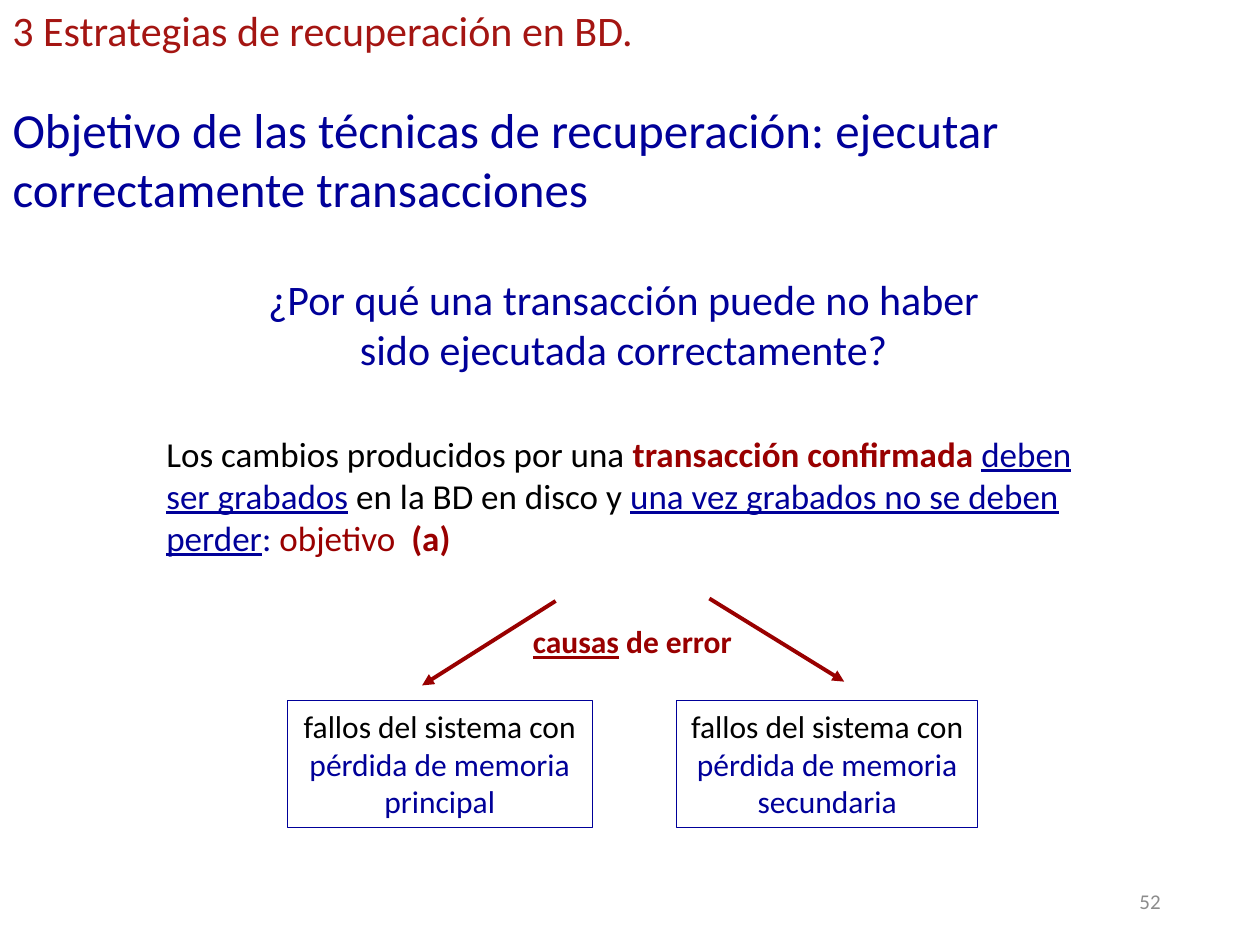
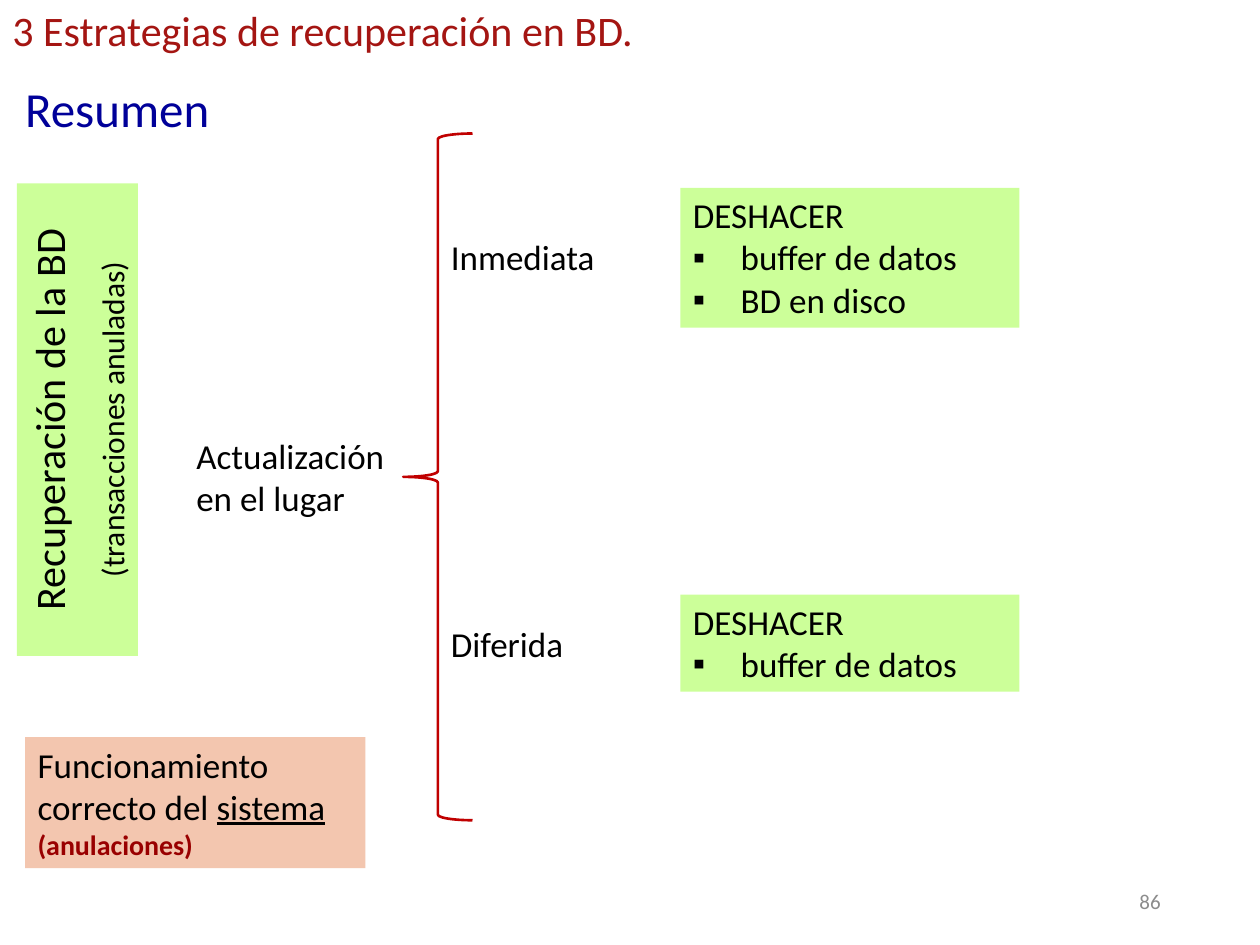
from lxml.etree import SubElement
from pptx import Presentation
from pptx.dml.color import RGBColor
from pptx.enum.shapes import MSO_CONNECTOR, MSO_SHAPE
from pptx.enum.text import MSO_ANCHOR, PP_ALIGN
from pptx.oxml.ns import qn
from pptx.util import Inches, Pt

BLACK = RGBColor(0x00, 0x00, 0x00)
BLUE = RGBColor(0x00, 0x00, 0x99)
RED = RGBColor(0x99, 0x00, 0x00)
SECTION_RED = RGBColor(0xA4, 0x15, 0x12)
BRACE_RED = RGBColor(0xC0, 0x00, 0x00)
GRAY = RGBColor(0x8C, 0x8C, 0x8C)
GREEN = RGBColor(0xCC, 0xFF, 0x99)
PEACH = RGBColor(0xF3, 0xC6, 0xAF)

FONT = "Calibri"
SECTION = "3 Estrategias de recuperación en BD."
LEFT, CENTER, RIGHT = PP_ALIGN.LEFT, PP_ALIGN.CENTER, PP_ALIGN.RIGHT


class SlideBuilder:
    """Holds the shared style and the current slide."""

    def __init__(self, deck):
        self.deck = deck
        self.slide = None

    def new_slide(self, heading, heading_place, number):
        self.slide = self.deck.slides.add_slide(self.deck.slide_layouts[5])
        title = self.slide.shapes.title
        title.left, title.top, title.width, title.height = map(Inches, heading_place)
        self.fill_text(title, [heading], size=28, color=BLUE)
        self.text((0, -0.01, 5.17, 0.5), [SECTION], size=24, color=SECTION_RED, wrap=False)
        self.text((7.06, 6.95, 2.25, 0.4), [number], size=12, color=GRAY,
                  align=RIGHT, anchor=MSO_ANCHOR.MIDDLE)

    def fill_text(self, shape, paras, size=20, color=BLACK, align=LEFT, side=0.1,
                  anchor=MSO_ANCHOR.TOP, wrap=True, gap=0, bullets=False):
        """Each para is a string or a list of (text, format) spans."""
        frame = shape.text_frame
        settings = {"word_wrap": wrap, "vertical_anchor": anchor,
                    "margin_left": Inches(side), "margin_right": Inches(side),
                    "margin_top": Inches(0.05), "margin_bottom": Inches(0.05)}
        for name, value in settings.items():
            setattr(frame, name, value)
        for index, spans in enumerate(paras):
            para = frame.add_paragraph() if index else frame.paragraphs[0]
            para.alignment = align
            para.space_before = Pt(gap if index else 0)
            if bullets and index:
                self.bullet(para)
            for text, changes in [(spans, {})] if isinstance(spans, str) else spans:
                look = {"size": size, "color": color, **changes}
                span = para.add_run()
                span.text = text
                span.font.color.rgb = look.pop("color")
                look.update(name=FONT, size=Pt(look["size"]))
                for name, value in look.items():
                    setattr(span.font, name, value)

    def bullet(self, para):
        props = para._p.get_or_add_pPr()
        props.set("marL", str(Inches(0.38)))
        props.set("indent", str(-Inches(0.38)))
        SubElement(props, qn("a:buFont"), typeface="Arial")
        SubElement(props, qn("a:buChar"), char="▪")

    def text(self, place, paras, **style):
        box = self.slide.shapes.add_textbox(*map(Inches, place))
        self.fill_text(box, paras, **style)

    def shape(self, kind, place, fill=None, line=None, weight=0.75):
        shape = self.slide.shapes.add_shape(kind, *map(Inches, place))
        shape.shadow.inherit = False
        if fill is None:
            shape.fill.background()
        else:
            shape.fill.solid()
            shape.fill.fore_color.rgb = fill
        if line is None:
            shape.line.fill.background()
        else:
            shape.line.color.rgb = line
            shape.line.width = Pt(weight)
        return shape

    def panel(self, place, paras, fill=None, line=None, rotation=0, **style):
        panel = self.shape(MSO_SHAPE.RECTANGLE, place, fill, line)
        panel.rotation = rotation
        self.fill_text(panel, paras, **style)

    def brace(self, place, color):
        brace = self.shape(MSO_SHAPE.LEFT_BRACE, place, line=color, weight=1.5)
        brace.adjustments[0] = 0.08
        brace.adjustments[1] = 0.5

    def arrow(self, start, end, color):
        arrow = self.slide.shapes.add_connector(
            MSO_CONNECTOR.STRAIGHT, *map(Inches, start + end))
        arrow.line.color.rgb = color
        arrow.line.width = Pt(2.25)
        SubElement(arrow.line._get_or_add_ln(), qn("a:tailEnd"), type="triangle")
        SubElement(arrow._element.spPr, qn("a:effectLst"))


def build_goal(builder):
    builder.new_slide(
        "Objetivo de las técnicas de recuperación: ejecutar correctamente transacciones",
        (0, 0.74, 9.62, 1.04), "52")
    builder.text((1.8, 2.12, 6.3, 0.91),
                 ["¿Por qué una transacción puede no haber sido ejecutada correctamente?"],
                 size=24, color=BLUE, align=CENTER)
    underlined = {"color": BLUE, "underline": True}
    builder.text((1.32, 3.38, 7.25, 1.1), [[
        ("Los cambios producidos por una ", {}),
        ("transacción confirmada ", {"color": RED, "bold": True}),
        ("deben ser grabados", underlined),
        (" en la BD en disco y ", {}),
        ("una vez grabados no se deben perder", underlined),
        (": ", {"color": BLUE}),
        ("objetivo  ", {"color": RED}),
        ("(a)", {"color": RED, "bold": True}),
    ]], side=0)

    # Causes of error
    for left, width, memory in ((2.28, 2.42, "principal"), (5.37, 2.39, "secundaria")):
        builder.panel((left, 5.56, width, 1.01), [[
            ("fallos del sistema con ", {}),
            (f"pérdida de memoria {memory}", {"color": BLUE}),
        ]], line=BLUE, size=18, align=CENTER, side=0)
    builder.text((4.02, 4.89, 2, 0.4), [[
        ("causas", {"bold": True, "underline": True}),
        (" de error", {"bold": True}),
    ]], size=18, color=RED, align=CENTER, side=0)
    builder.arrow((5.63, 4.75), (6.7, 5.41), RED)
    builder.arrow((4.41, 4.77), (3.35, 5.44), RED)


def build_summary(builder):
    builder.new_slide("Resumen", (0.1, 0.57, 2.25, 0.57), "86")

    # Scope of the recovery
    builder.panel((-1.26, 2.85, 3.75, 0.96), [
        "Recuperación de la BD",
        [("(transacciones anuladas)", {"size": 18})],
    ], fill=GREEN, rotation=270, size=24, align=CENTER, gap=11)
    builder.panel((0.2, 5.85, 2.7, 1.04), [[
        ("Funcionamiento correcto del ", {}),
        ("sistema ", {"underline": True}),
        ("(anulaciones)", {"size": 16, "color": RED, "bold": True}),
    ]], fill=PEACH)

    # Update modes and what each one undoes
    builder.text((1.46, 3.4, 1.95, 0.77), ["Actualización en el lugar"])
    builder.brace((3.2, 1.06, 0.55, 5.45), BRACE_RED)
    modes = (
        ("Inmediata", 1.82, 1.49, 1.11, ["buffer de datos", "BD en disco"]),
        ("Diferida", 4.89, 4.72, 0.77, ["buffer de datos"]),
    )
    for mode, mode_top, undo_top, undo_height, targets in modes:
        builder.text((3.48, mode_top, 1.63, 0.44), [mode])
        builder.panel((5.4, undo_top, 2.69, undo_height), ["DESHACER", *targets],
                      fill=GREEN, bullets=True)


def main():
    deck = Presentation()
    deck.slide_width, deck.slide_height = Inches(10), Inches(7.5)
    builder = SlideBuilder(deck)
    build_goal(builder)
    build_summary(builder)
    deck.save("out.pptx")


if __name__ == "__main__":
    main()
